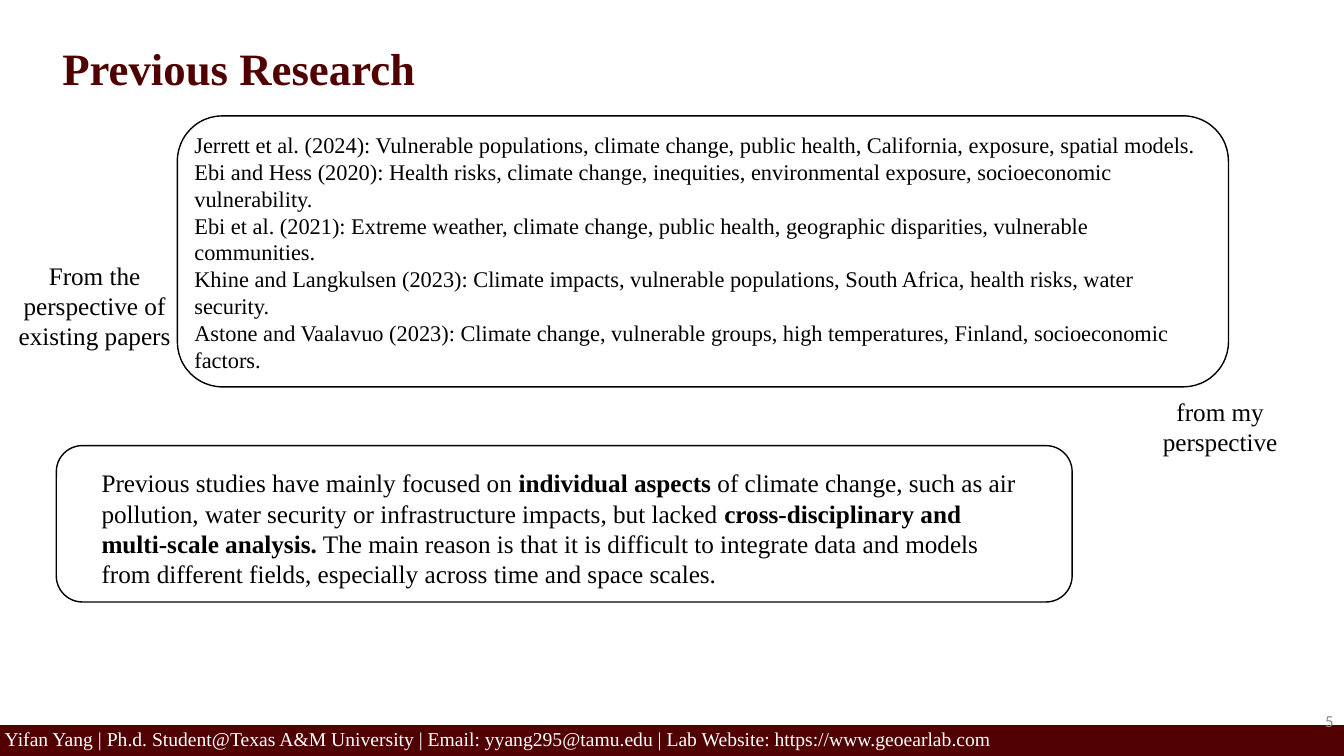
"""Build the Previous Research slide."""
from dataclasses import dataclass

from pptx import Presentation
from pptx.dml.color import RGBColor
from pptx.enum.shapes import MSO_SHAPE
from pptx.enum.text import MSO_ANCHOR, PP_ALIGN
from pptx.util import Cm, Pt

MAROON = RGBColor(0x50, 0x00, 0x00)
BLACK = RGBColor(0x00, 0x00, 0x00)
WHITE = RGBColor(0xFF, 0xFF, 0xFF)
GRAY = RGBColor(0x8C, 0x8C, 0x8C)
SERIF = "Times New Roman"


@dataclass
class Frame:
    left: float
    top: float
    width: float
    height: float
    kind: MSO_SHAPE = MSO_SHAPE.ROUNDED_RECTANGLE
    line: RGBColor = BLACK
    fill: RGBColor | None = None


@dataclass
class Label:
    left: float
    top: float
    width: float
    height: float
    lines: list[str]
    size: int = 18
    color: RGBColor = BLACK
    font: str = SERIF
    bold: bool = False
    align: PP_ALIGN = PP_ALIGN.LEFT
    anchor: MSO_ANCHOR = MSO_ANCHOR.TOP


PAPERS = [
    "Jerrett et al. (2024): Vulnerable populations, climate change, public health, California, exposure, spatial models.",
    "Ebi and Hess (2020): Health risks, climate change, inequities, environmental exposure, socioeconomic vulnerability.",
    "Ebi et al. (2021): Extreme weather, climate change, public health, geographic disparities, vulnerable communities.",
    "Khine and Langkulsen (2023): Climate impacts, vulnerable populations, South Africa, health risks, water security.",
    "Astone and Vaalavuo (2023): Climate change, vulnerable groups, high temperatures, Finland, socioeconomic factors.",
]
SUMMARY = (
    "Previous studies have mainly focused on **individual aspects** of climate change, "
    "such as air pollution, water security or infrastructure impacts, but lacked "
    "**cross-disciplinary and multi-scale analysis.** The main reason is that it is "
    "difficult to integrate data and models from different fields, especially across "
    "time and space scales."
)
FOOTER = (
    "Yifan Yang | Ph.d. Student@Texas A&M University | Email: yyang295@tamu.edu"
    " | Lab Website: https://www.geoearlab.com"
)

ITEMS = [
    Frame(0, 18.29, 33.87, 0.76, MSO_SHAPE.RECTANGLE, MAROON, MAROON),
    Label(-0.13, 18.19, 32.72, 0.76, [FOOTER], 14, WHITE),
    Label(26.24, 17.65, 7.62, 1.02, ["5"], 12, GRAY, "Calibri",
          align=PP_ALIGN.RIGHT, anchor=MSO_ANCHOR.MIDDLE),
    Label(1.32, 0.89, 16.94, 1.63, ["Previous Research"], 32, MAROON, bold=True),
    Label(2.31, 11.66, 23.55, 3.07, [SUMMARY]),
    Frame(1.42, 11.23, 25.6, 3.94),
    Label(27.97, 9.86, 5.56, 1.8, ["from my perspective"], align=PP_ALIGN.CENTER),
    Label(-0.28, 6.43, 5.33, 2.57, ["From the perspective of existing papers"],
          align=PP_ALIGN.CENTER),
    Label(4.65, 3.18, 26.14, 7.57, PAPERS, 16),
    Frame(4.47, 2.92, 26.49, 6.83),
]


def place(item: Frame | Label) -> tuple[Cm, Cm, Cm, Cm]:
    """Return the bounds of an item."""
    return Cm(item.left), Cm(item.top), Cm(item.width), Cm(item.height)


def draw_frame(shapes, frame: Frame) -> None:
    """Draw an outlined shape."""
    shape = shapes.add_shape(frame.kind, *place(frame))
    shape.shadow.inherit = False
    shape.line.color.rgb = frame.line
    shape.line.width = Pt(1)
    if frame.fill is None:
        shape.fill.background()
    else:
        shape.fill.solid()
        shape.fill.fore_color.rgb = frame.fill


def draw_label(shapes, label: Label) -> None:
    """Draw a text box, with text between double stars in bold."""
    body = shapes.add_textbox(*place(label)).text_frame
    body.word_wrap = True
    body.vertical_anchor = label.anchor
    for row, line in enumerate(label.lines):
        para = body.add_paragraph() if row else body.paragraphs[0]
        para.alignment = label.align
        para.font.name = label.font
        para.font.size = Pt(label.size)
        para.font.color.rgb = label.color
        para.font.bold = label.bold
        for part, text in enumerate(line.split("**")):
            run = para.add_run()
            run.text = text
            if part % 2:
                run.font.bold = True


def main() -> None:
    """Draw all items and save the deck."""
    deck = Presentation()
    deck.slide_width, deck.slide_height = Cm(33.87), Cm(19.05)
    shapes = deck.slides.add_slide(deck.slide_layouts[6]).shapes
    for item in ITEMS:
        if isinstance(item, Frame):
            draw_frame(shapes, item)
        else:
            draw_label(shapes, item)
    deck.save("out.pptx")


if __name__ == "__main__":
    main()
